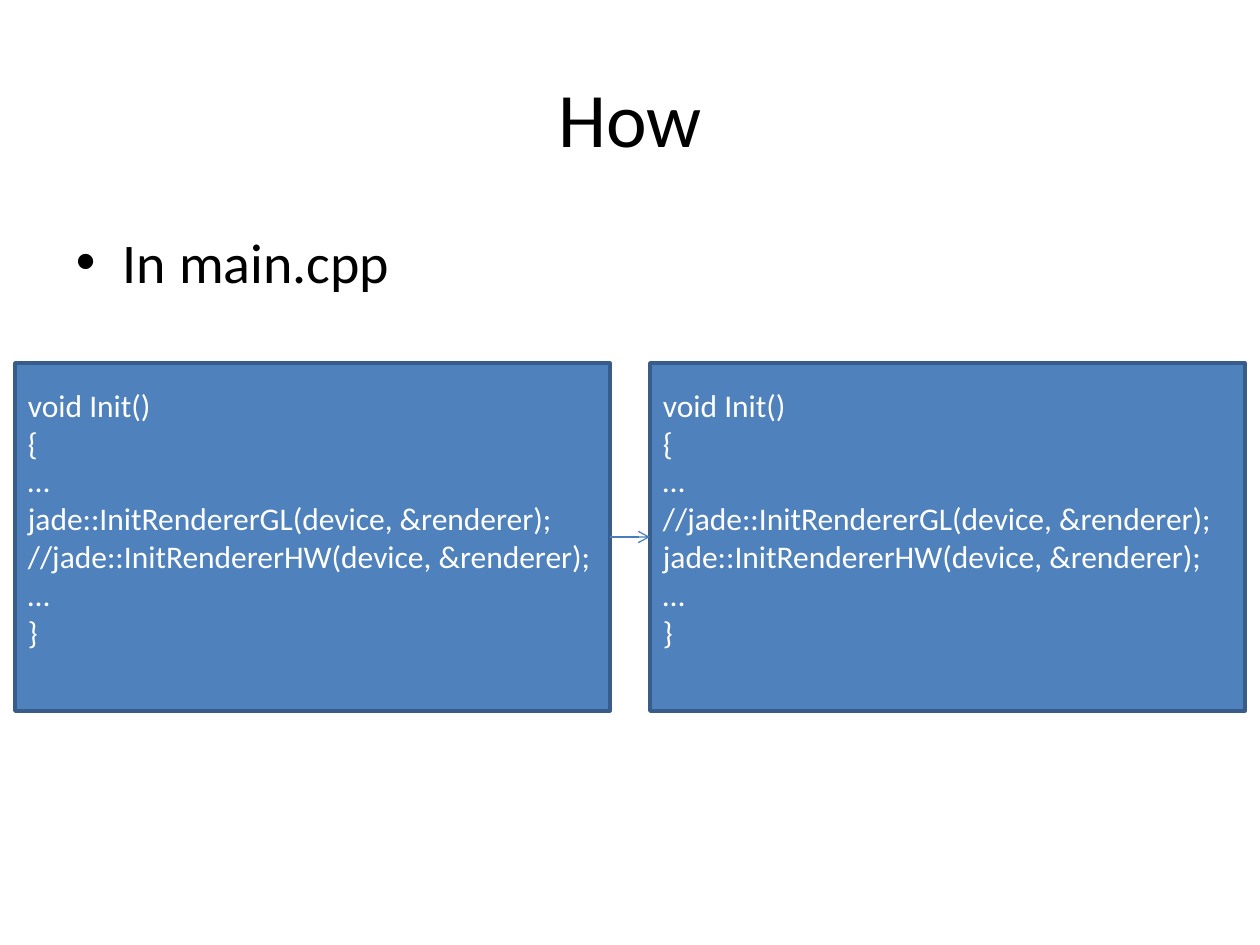
import pptx
import pptx.dml.color
import pptx.enum.shapes
import pptx.enum.text
import pptx.util
from pptx.oxml.ns import qn
from lxml import etree

PX_PER_INCH = 126
FONT = "Calibri"
COLORS = {
    "text": "000000",
    "code": "FFFFFF",
    "box": "4F81BD",
    "border": "385D8A",
    "arrow": "4A7EBB",
}
INSET_X, INSET_Y = 13, 6
CODE_LINE = 38  # height of one line of code

BEFORE = [
    "void Init()",
    "{",
    "…",
    "jade::InitRendererGL(device, &renderer);",
    "//jade::InitRendererHW(device, &renderer);",
    "…",
    "}",
]
AFTER = BEFORE[:3] + [
    "//jade::InitRendererGL(device, &renderer);",
    "jade::InitRendererHW(device, &renderer);",
] + BEFORE[5:]


def px(length):
    return pptx.util.Emu(round(length * 914400 / PX_PER_INCH))


def rgb(name):
    return pptx.dml.color.RGBColor.from_string(COLORS[name])


def style_paragraph(para, size, color):
    para.font.name = FONT
    para.font.size = pptx.util.Pt(size)
    para.font.color.rgb = rgb(color)


def set_frame(frame, anchor, bottom=INSET_Y):
    frame.word_wrap = True
    frame.vertical_anchor = anchor
    frame.margin_left = frame.margin_right = px(INSET_X)
    frame.margin_top, frame.margin_bottom = px(INSET_Y), px(bottom)


def add_text(page, area, text, size, anchor):
    box = page.shapes.add_textbox(*map(px, area))
    set_frame(box.text_frame, anchor)
    para = box.text_frame.paragraphs[0]
    para.text = text
    return para


def add_title(page, area, text):
    para = add_text(page, area, text, 44, pptx.enum.text.MSO_ANCHOR.MIDDLE)
    para.alignment = pptx.enum.text.PP_ALIGN.CENTER
    style_paragraph(para, 44, "text")


def add_bullet(page, area, text):
    para = add_text(page, area, text, 32, pptx.enum.text.MSO_ANCHOR.TOP)
    props = para._p.get_or_add_pPr()
    indent = px(47)
    props.set("marL", str(indent))
    props.set("indent", str(-indent))
    etree.SubElement(props, qn("a:buFont"), typeface="Arial")
    etree.SubElement(props, qn("a:buChar"), char="•")
    style_paragraph(para, 32, "text")


def add_code_box(page, area, lines):
    box = page.shapes.add_shape(
        pptx.enum.shapes.MSO_SHAPE.RECTANGLE, *map(px, area))
    box.shadow.inherit = False
    box.fill.solid()
    box.fill.fore_color.rgb = rgb("box")
    box.line.color.rgb = rgb("border")
    box.line.width = pptx.util.Pt(2)
    # The deeper bottom inset lifts the code above the middle
    set_frame(box.text_frame, pptx.enum.text.MSO_ANCHOR.MIDDLE,
              INSET_Y + CODE_LINE)
    box.text_frame.text = "\n".join(lines)
    for para in box.text_frame.paragraphs:
        para.alignment = pptx.enum.text.PP_ALIGN.LEFT
        style_paragraph(para, 18, "code")
    return box


def add_arrow(page, source, target):
    arrow = page.shapes.add_connector(
        pptx.enum.shapes.MSO_CONNECTOR.STRAIGHT, 0, 0, 0, 0)
    arrow.begin_connect(source, 3)
    arrow.end_connect(target, 1)
    arrow.line.color.rgb = rgb("arrow")
    arrow.line.width = pptx.util.Pt(0.75)
    etree.SubElement(arrow.line._get_or_add_ln(), qn("a:tailEnd"), type="arrow")
    etree.SubElement(arrow._element.spPr, qn("a:effectLst"))


def main():
    deck = pptx.Presentation()
    deck.slide_width, deck.slide_height = px(1260), px(945)
    page = deck.slides.add_slide(deck.slide_layouts[6])

    # Heading and bullet
    add_title(page, (63, 38, 1134, 157), "How")
    add_bullet(page, (63, 221, 1134, 624), "In main.cpp")

    # Code before and after the change
    before, after = [
        add_code_box(page, (left, 363, 595, 348), lines)
        for left, lines in ((15, BEFORE), (650, AFTER))
    ]
    add_arrow(page, before, after)

    deck.save("out.pptx")


if __name__ == "__main__":
    main()
